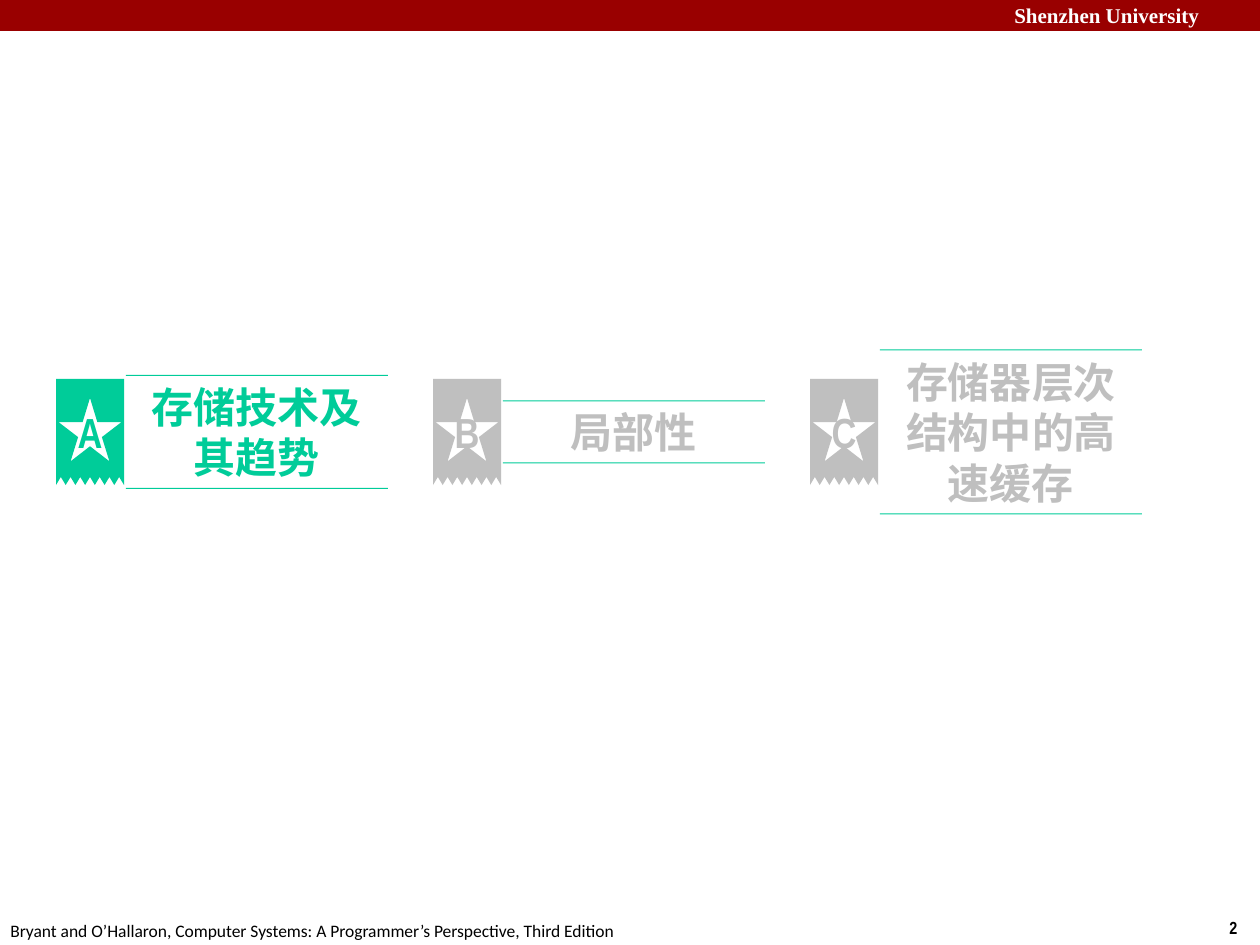
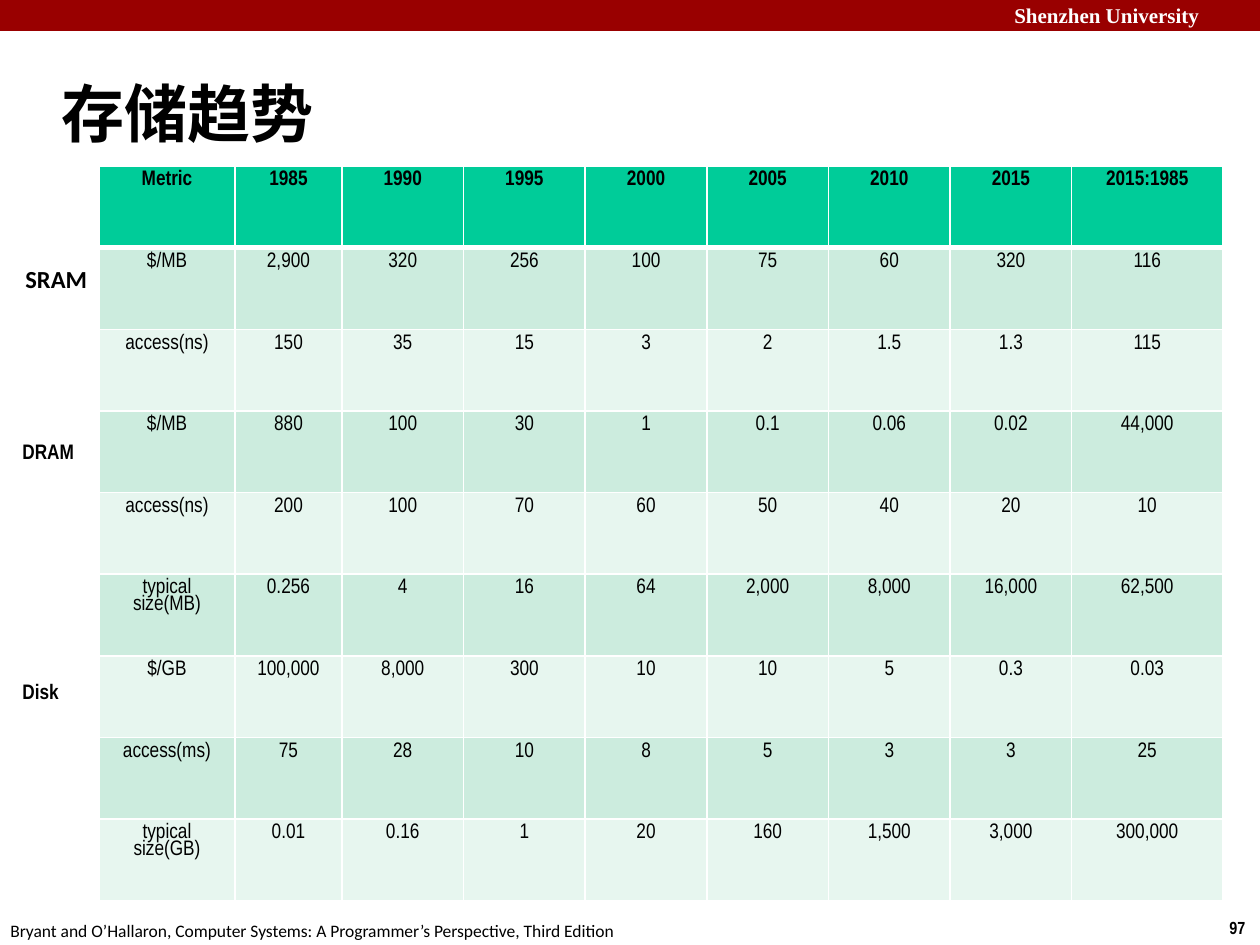
import math
import pptx
import pptx.dml.color
import pptx.enum.shapes
import pptx.enum.text
import pptx.util
from dataclasses import dataclass
from lxml import etree

ALIGN = pptx.enum.text.PP_ALIGN
ANCHOR = pptx.enum.text.MSO_ANCHOR


@dataclass(frozen=True)
class Theme:
    band: str = "990000"
    accent: str = "00CC99"
    muted: str = "BFBFBF"
    row_dark: str = "CCECDE"
    row_light: str = "E7F6EF"
    white: str = "FFFFFF"
    black: str = "000000"
    narrow: str = "Arial Narrow"
    sans: str = "Calibri"
    serif: str = "Times New Roman"
    title: int = 36
    topic: int = 24
    label: int = 14
    body: int = 12
    footer: int = 10


T = Theme()
SLIDE_W, SLIDE_H = 1260, 945
UNIVERSITY = "Shenzhen University"
SOURCE = "Bryant and O’Hallaron, Computer Systems: A Programmer’s Perspective, Third Edition"

AGENDA_NUMBER = 2
TOPICS = [
    ("A", "存储技术及其趋势", T.accent, 114),
    ("B", "局部性", T.muted, 63),
    ("C", "存储器层次结构中的高速缓存", T.muted, 165),
]
TOPIC_LEFT, TOPIC_STEP, TOPIC_MIDDLE = 56, 377, 432
RIBBON_W, RIBBON_TOP, RIBBON_H = 68, 379, 106
TEETH, TOOTH_H = 7, 8
STAR_TOP, STAR_RX, STAR_RY, STAR_INNER = 19, 33, 35, 0.38
RULE_OFFSET, RULE_W, RULE_H = 70, 262, 1

TRENDS_NUMBER = 97
TRENDS_TITLE = "存储趋势"
TRENDS = [
    ["Metric", "1985", "1990", "1995", "2000", "2005", "2010", "2015", "2015:1985"],
    ["$/MB", "2,900", "320", "256", "100", "75", "60", "320", "116"],
    ["access(ns)", "150", "35", "15", "3", "2", "1.5", "1.3", "115"],
    ["$/MB", "880", "100", "30", "1", "0.1", "0.06", "0.02", "44,000"],
    ["access(ns)", "200", "100", "70", "60", "50", "40", "20", "10"],
    ["typical size(MB)", "0.256", "4", "16", "64", "2,000", "8,000", "16,000", "62,500"],
    ["$/GB", "100,000", "8,000", "300", "10", "10", "5", "0.3", "0.03"],
    ["access(ms)", "75", "28", "10", "8", "5", "3", "3", "25"],
    ["typical size(GB)", "0.01", "0.16", "1", "20", "160", "1,500", "3,000", "300,000"],
]
TABLE_BOX = (99, 166, 1124, 735)
METRIC_W, FIRST_YEAR_W, RATIO_W = 136, 107, 151
MEMORY_LABELS = [
    ("SRAM", (13, 258, 93, 43), T.label, T.sans),
    ("DRAM", (10, 432, 96, 38), T.body, T.narrow),
    ("Disk", (10, 672, 69, 38), T.body, T.narrow),
]


def px(n):
    return pptx.util.Emu(round(n * 914400 / 126))


def rgb(color):
    return pptx.dml.color.RGBColor.from_string(color)


def write(tf, text, size, font, color=T.black, bold=True, align=ALIGN.LEFT, spacing=None):
    p = tf.paragraphs[0]
    p.alignment = align
    if spacing:
        p.line_spacing = spacing
    r = p.add_run()
    r.text = text
    for name, value in {"size": pptx.util.Pt(size), "name": font, "bold": bold}.items():
        setattr(r.font, name, value)
    r.font.color.rgb = rgb(color)


def paint(sp, color):
    sp.shadow.inherit = False
    sp.fill.solid()
    sp.fill.fore_color.rgb = rgb(color)
    sp.line.fill.background()


def add_text(s, box, text, size, font, anchor=ANCHOR.TOP, **style):
    tf = s.shapes.add_textbox(*map(px, box)).text_frame
    tf.word_wrap = True
    tf.vertical_anchor = anchor
    write(tf, text, size, font, **style)


def add_outline(s, contours, fill, text, color):
    first, *others = [[(px(x), px(y)) for x, y in c] for c in contours]
    builder = s.shapes.build_freeform(*first[0], scale=1.0)
    builder.add_line_segments(first[1:], close=True)
    for contour in others:
        builder.move_to(*contour[0])
        builder.add_line_segments(contour[1:], close=True)
    sp = builder.convert_to_shape()
    paint(sp, fill)
    sp.text_frame.word_wrap = True
    sp.text_frame.vertical_anchor = ANCHOR.MIDDLE
    write(sp.text_frame, text, T.topic, T.narrow, color, align=ALIGN.CENTER)


def ribbon(left):
    right, bottom = left + RIBBON_W, RIBBON_TOP + RIBBON_H
    steps = 2 * TEETH
    edge = [(right - i * RIBBON_W / steps, bottom - TOOTH_H * (i % 2))
            for i in range(steps + 1)]
    return [(left, RIBBON_TOP), (right, RIBBON_TOP)] + edge


def star(left):
    cx, cy = left + RIBBON_W / 2, RIBBON_TOP + STAR_TOP + STAR_RY
    points = []
    for i in range(10):
        k = STAR_INNER if i % 2 else 1
        angle = math.pi * i / 5
        points.append((cx - k * STAR_RX * math.sin(angle), cy - k * STAR_RY * math.cos(angle)))
    return points


def rule(left, top):
    right, bottom = left + RULE_W, top + RULE_H
    return [(left, top), (right, top), (right, bottom), (left, bottom)]


def new_slide(prs, number):
    s = prs.slides.add_slide(prs.slide_layouts[6])
    band = s.shapes.add_shape(pptx.enum.shapes.MSO_SHAPE.RECTANGLE,
                              *map(px, (0, 0, SLIDE_W, 31)))
    paint(band, T.band)
    add_text(s, (1002, -4, 267, 38), UNIVERSITY, T.body, T.serif, color=T.white)
    add_text(s, (1217, 911, 43, 34), str(number), T.footer, T.narrow)
    add_text(s, (-2, 914, 641, 34), SOURCE, T.footer, T.sans, bold=False)
    return s


def add_border(cell, side, width):
    tc_pr = cell._tc.get_or_add_tcPr()
    ns = "{http://schemas.openxmlformats.org/drawingml/2006/main}"
    ln = etree.SubElement(tc_pr, ns + side, w=str(pptx.util.Pt(width)))
    fill = etree.SubElement(ln, ns + "solidFill")
    etree.SubElement(fill, ns + "srgbClr", val=T.white)


def add_trends(s):
    n_rows, n_cols = len(TRENDS), len(TRENDS[0])
    table = s.shapes.add_table(n_rows, n_cols, *map(px, TABLE_BOX)).table
    for flag in ("first_row", "horz_banding"):
        setattr(table, flag, False)
    n_years = n_cols - 3
    year_w = (TABLE_BOX[2] - METRIC_W - FIRST_YEAR_W - RATIO_W) / n_years
    widths = [METRIC_W, FIRST_YEAR_W] + [year_w] * n_years + [RATIO_W]
    for column, width in zip(table.columns, widths):
        column.width = px(width)
    for i, values in enumerate(TRENDS):
        table.rows[i].height = px(TABLE_BOX[3] / n_rows)
        fill = T.accent if i == 0 else T.row_dark if i % 2 else T.row_light
        borders = {"lnL": 1, "lnR": 1, "lnT": 3 if i == 1 else 1, "lnB": 3 if i == 0 else 1}
        for j, value in enumerate(values):
            cell = table.cell(i, j)
            for side, width in borders.items():
                add_border(cell, side, width)
            cell.fill.solid()
            cell.fill.fore_color.rgb = rgb(fill)
            write(cell.text_frame, value, T.body, T.narrow, bold=i == 0,
                  align=ALIGN.CENTER, spacing=0.85)


def agenda_slide(prs):
    s = new_slide(prs, AGENDA_NUMBER)
    for i, (letter, topic, color, height) in enumerate(TOPICS):
        left = TOPIC_LEFT + i * TOPIC_STEP
        top = TOPIC_MIDDLE - height / 2
        rules = [rule(left + RULE_OFFSET, y) for y in (top, top + height - RULE_H)]
        add_outline(s, [star(left), ribbon(left)], color, letter, color)
        add_outline(s, rules, T.accent, topic, color)


def trends_slide(prs):
    s = new_slide(prs, TRENDS_NUMBER)
    add_text(s, (49, 60, 1046, 105), TRENDS_TITLE, T.title, T.sans, ANCHOR.MIDDLE)
    add_trends(s)
    for text, box, size, font in MEMORY_LABELS:
        add_text(s, box, text, size, font)


def main():
    prs = pptx.Presentation()
    prs.slide_width, prs.slide_height = px(SLIDE_W), px(SLIDE_H)
    agenda_slide(prs)
    trends_slide(prs)
    prs.save("out.pptx")


if __name__ == "__main__":
    main()
